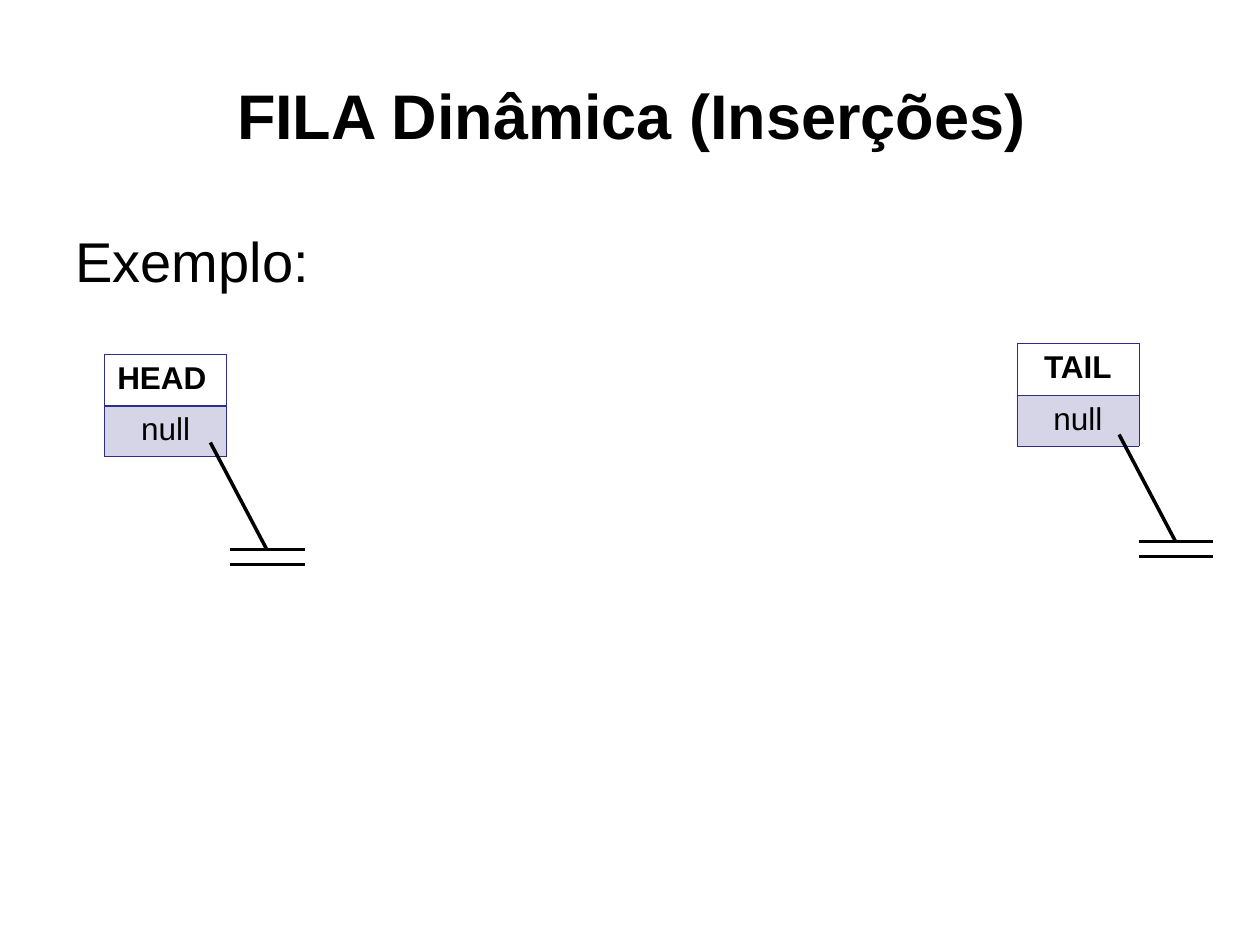
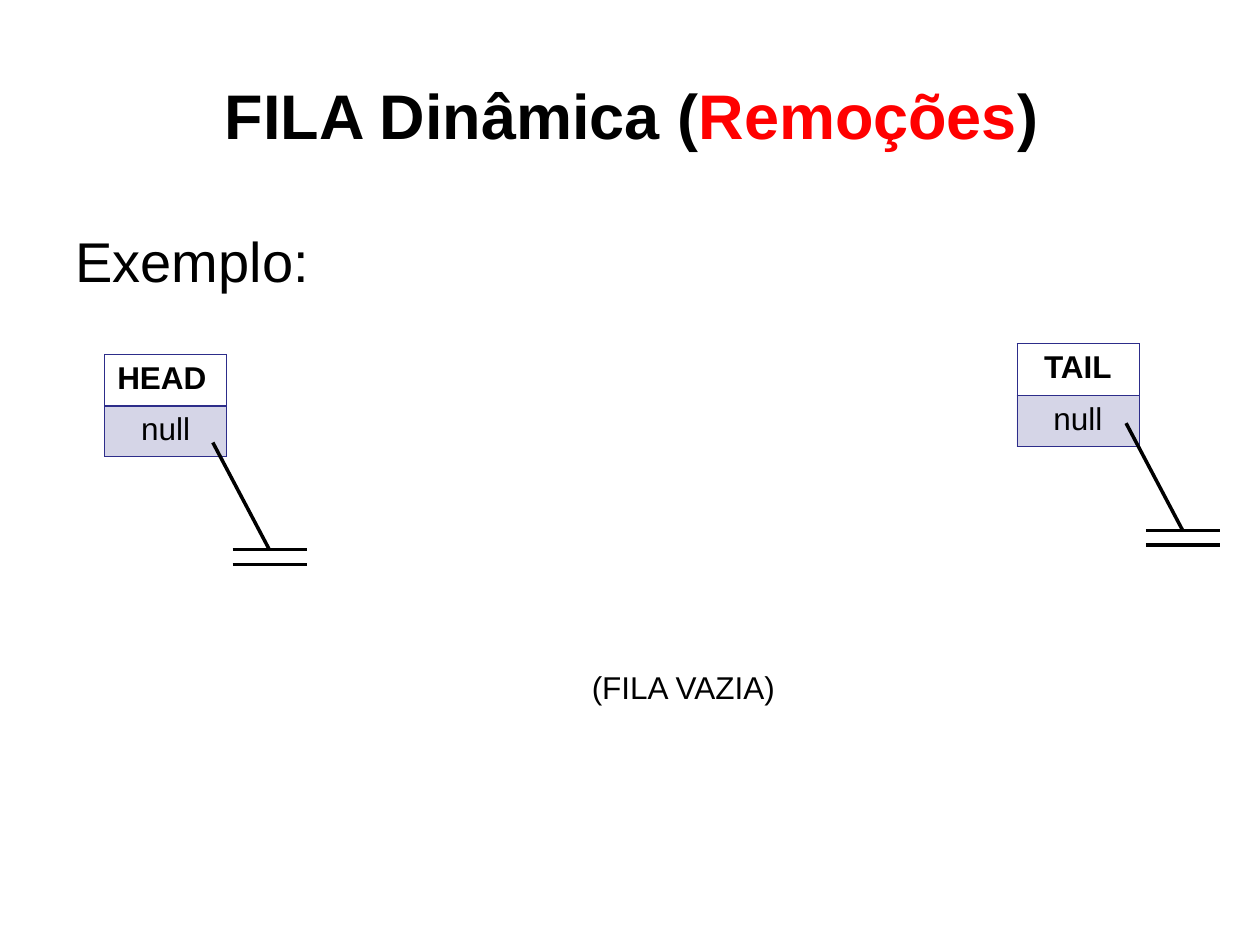
from dataclasses import dataclass

from lxml.etree import SubElement
from pptx import Presentation
from pptx.dml.color import RGBColor
from pptx.enum.shapes import MSO_CONNECTOR
from pptx.enum.text import MSO_ANCHOR, PP_ALIGN
from pptx.oxml import parse_xml
from pptx.oxml.ns import nsdecls, qn
from pptx.util import Cm, Pt


@dataclass(frozen=True)
class Theme:
    font: str = "Arial"
    ink: str = "000000"
    accent: str = "FF0000"
    cell: str = "2D2D8A"
    cell_alpha: int = 20000
    title_size: int = 36
    body_size: int = 32
    label_size: int = 18
    pointer_width: int = 2
    outer_border: float = 0.45
    inner_border: float = 0.96


class Deck:
    """Holds the theme and the slide being built."""

    def __init__(self, theme):
        self.theme = theme
        self.prs = Presentation()
        self.prs.slide_width, self.prs.slide_height = Cm(25.4), Cm(19.05)
        self.slide = None

    def add_runs(self, paragraph, runs, size, bold=False, align=PP_ALIGN.LEFT):
        """Fill a paragraph with (text, colour) runs."""
        paragraph.alignment = align
        for text, color in runs:
            run = paragraph.add_run()
            run.text = text
            style = {"name": self.theme.font, "size": Pt(size), "bold": bold}
            for key, value in style.items():
                setattr(run.font, key, value)
            run.font.color.rgb = RGBColor.from_string(color)

    def start_slide(self, title_runs):
        self.slide = self.prs.slides.add_slide(self.prs.slide_layouts[5])
        title = self.slide.shapes.title
        place = {"left": Cm(1.3), "top": Cm(0.71), "width": Cm(22.86), "height": Cm(3.18)}
        for key, value in place.items():
            setattr(title, key, value)
        title.text_frame.vertical_anchor = MSO_ANCHOR.MIDDLE
        self.add_runs(title.text_frame.paragraphs[0], title_runs, self.theme.title_size,
                      bold=True, align=PP_ALIGN.CENTER)

    def text(self, content, left, top, width, height, size, wrap=True, space_before=0):
        box = self.slide.shapes.add_textbox(Cm(left), Cm(top), Cm(width), Cm(height))
        box.text_frame.word_wrap = wrap
        paragraph = box.text_frame.paragraphs[0]
        paragraph.space_before = Pt(space_before)
        self.add_runs(paragraph, [(content, self.theme.ink)], size)

    def borders(self, cell, top, bottom):
        """Outline a cell; the sides always take the outer width."""
        outer = self.theme.outer_border
        widths = {"lnL": outer, "lnR": outer, "lnT": top, "lnB": bottom}
        for index, (side, width) in enumerate(widths.items()):
            cell._tc.get_or_add_tcPr().insert(index, parse_xml(
                f'<a:{side} {nsdecls("a")} w="{Pt(width)}"><a:solidFill>'
                f'<a:srgbClr val="{self.theme.cell}"/></a:solidFill></a:{side}>'))

    def variable(self, name, left, top, name_align):
        """Two-row table: the variable's name over its null value."""
        theme = self.theme
        table = self.slide.shapes.add_table(
            2, 1, Cm(left), Cm(top), Cm(2.46), Cm(2.06)).table
        for flag in ("first_row", "horz_banding"):
            setattr(table, flag, False)
        for row, height in zip(table.rows, (1.04, 1.02)):
            row.height = Cm(height)
        name_cell, value_cell = table.cell(0, 0), table.cell(1, 0)

        name_cell.fill.background()
        self.add_runs(name_cell.text_frame.paragraphs[0], [(name, theme.ink)],
                      theme.label_size, bold=True, align=name_align)
        self.borders(name_cell, theme.outer_border, theme.inner_border)

        value_cell.fill.solid()
        value_cell.fill.fore_color.rgb = RGBColor.from_string(theme.cell)
        tint = value_cell._tc.tcPr.find(".//" + qn("a:srgbClr"))
        SubElement(tint, qn("a:alpha"), val=str(theme.cell_alpha))
        self.add_runs(value_cell.text_frame.paragraphs[0], [("null", theme.ink)],
                      theme.label_size, align=PP_ALIGN.CENTER)
        self.borders(value_cell, theme.inner_border, theme.outer_border)

    def null_pointer(self, x, y):
        """Slanted line from (x, y) that ends on two level bars."""
        symbol = self.slide.shapes.add_group_shape()
        bar_top, bar_gap = 2.16, 0.3
        strokes = [(0, 0, 1.14, bar_top)]
        strokes += [(0.4, dy, 1.9, dy) for dy in (bar_top, bar_top + bar_gap)]
        for x1, y1, x2, y2 in strokes:
            stroke = symbol.shapes.add_connector(
                MSO_CONNECTOR.STRAIGHT, Cm(x + x1), Cm(y + y1), Cm(x + x2), Cm(y + y2))
            stroke.line.color.rgb = RGBColor.from_string(self.theme.ink)
            stroke.line.width = Pt(self.theme.pointer_width)
            SubElement(stroke._element.spPr, qn("a:effectLst"))

    def empty_queue(self, title_runs, head_pointer, tail_pointer):
        """Slide with HEAD and TAIL both pointing to null."""
        self.start_slide(title_runs)
        self.text("Exemplo:", 1.27, 4.45, 22.86, 12.57, self.theme.body_size, space_before=8)
        self.variable("HEAD", 2.11, 7.14, PP_ALIGN.LEFT)
        self.variable("TAIL", 20.5, 6.93, PP_ALIGN.CENTER)
        for x, y in (head_pointer, tail_pointer):
            self.null_pointer(x, y)


def main():
    theme = Theme()
    deck = Deck(theme)

    # Insertions
    deck.empty_queue([("FILA Dinâmica (Inserções)", theme.ink)],
                     head_pointer=(4.24, 8.92), tail_pointer=(22.56, 8.76))

    # Removals
    deck.empty_queue([("FILA Dinâmica (", theme.ink), ("Remoções", theme.accent),
                      (")", theme.ink)],
                     head_pointer=(4.29, 8.92), tail_pointer=(22.7, 8.53))
    deck.text("(FILA VAZIA)", 11.68, 13.34, 4.27, 1.02, theme.label_size, wrap=False)

    deck.prs.save("out.pptx")


if __name__ == "__main__":
    main()
